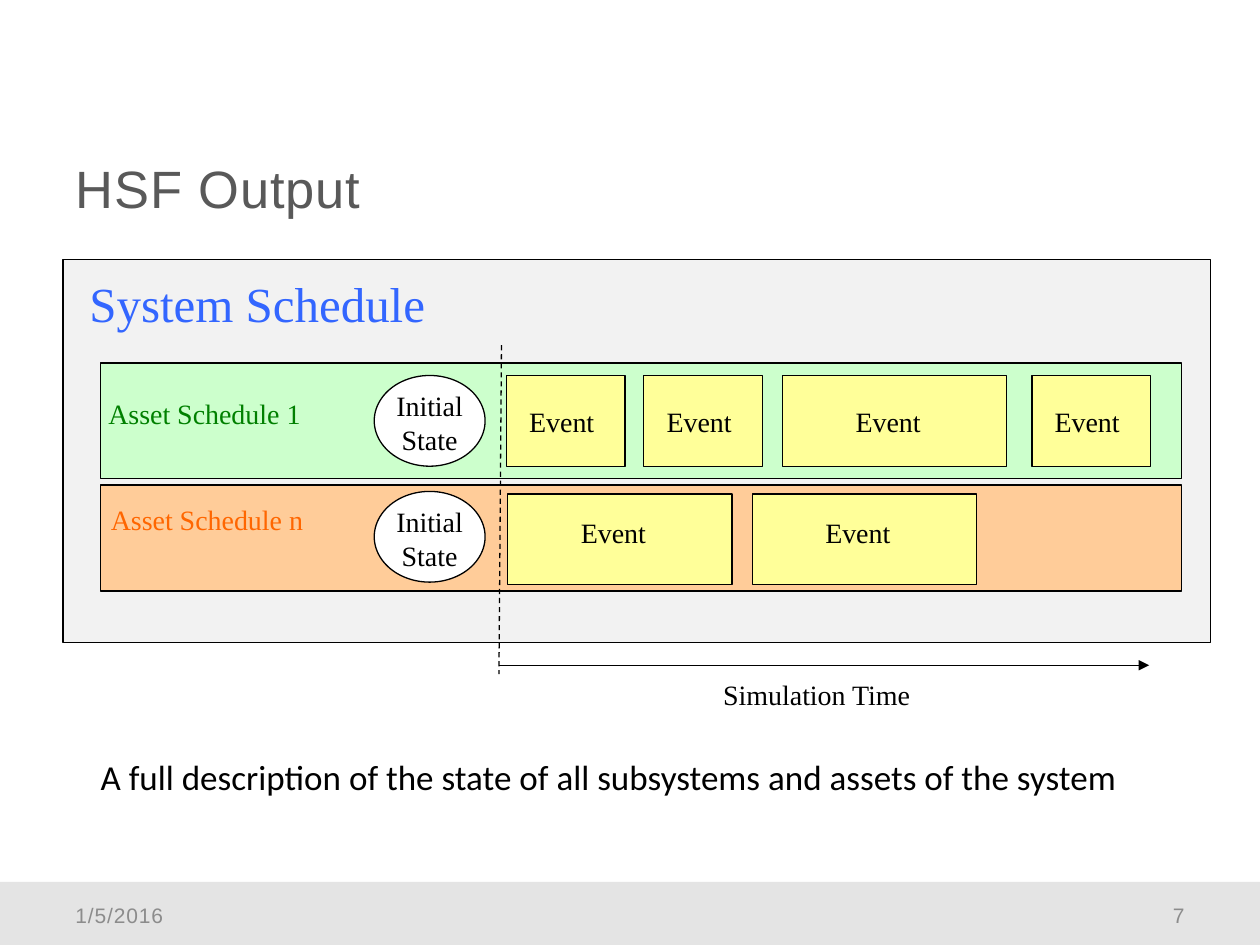
import pptx
import pptx.util
import pptx.dml.color
import pptx.enum.dml
import pptx.enum.shapes
import pptx.enum.text
import pptx.oxml
import pptx.oxml.ns
from pptx.util import Inches

COLORS = {
    "footer": "E4E4E4", "footer_text": "8C8C8C", "title": "595959",
    "panel": "F2F2F2", "green_lane": "CCFFCC", "orange_lane": "FFCC99",
    "event": "FFFF99", "white": "FFFFFF", "black": "000000",
    "green_text": "008000", "orange_text": "FF6600", "blue_text": "3366FF",
}
SERIF = "Times New Roman"
SHAPE = pptx.enum.shapes.MSO_SHAPE
ALIGN = pptx.enum.text.PP_ALIGN
ANCHOR = pptx.enum.text.MSO_ANCHOR
EVENT_H = 0.72


def rgb(name):
    return pptx.dml.color.RGBColor.from_string(COLORS[name])


def write(sp, text, size=16, font=SERIF, color="black", align=ALIGN.LEFT,
          anchor=ANCHOR.TOP, inset=0, wrap=True, spc=None, line_spacing=None):
    """Put one formatted paragraph in a shape; inset None keeps the default."""
    tf = sp.text_frame
    tf.auto_size = pptx.enum.text.MSO_AUTO_SIZE.NONE
    tf.word_wrap = wrap
    tf.vertical_anchor = anchor
    if inset is not None:
        tf.margin_left = tf.margin_right = Inches(inset)
        tf.margin_top = tf.margin_bottom = Inches(inset)
    p = tf.paragraphs[0]
    p.alignment = align
    if line_spacing:
        p.line_spacing = line_spacing
    r = p.add_run()
    r.text = text
    r.font.size = pptx.util.Pt(size)
    r.font.name = font
    r.font.color.rgb = rgb(color)
    if spc:
        r.font._element.set("spc", str(spc))
    return sp


def add_label(s, x, y, w, h, text, **fmt):
    sp = s.shapes.add_textbox(Inches(x), Inches(y), Inches(w), Inches(h))
    return write(sp, text, **fmt)


def add_box(s, x, y, w, h, fill, kind=SHAPE.RECTANGLE, outline=True):
    sp = s.shapes.add_shape(kind, Inches(x), Inches(y), Inches(w), Inches(h))
    sp.shadow.inherit = False
    sp.fill.solid()
    sp.fill.fore_color.rgb = rgb(fill)
    if outline:
        sp.line.color.rgb = rgb("black")
        sp.line.width = pptx.util.Pt(0.75)
    else:
        sp.line.fill.background()
    return sp


def add_line(s, x1, y1, x2, y2, dashed=False, arrow=False):
    cn = s.shapes.add_connector(pptx.enum.shapes.MSO_CONNECTOR.STRAIGHT,
                                Inches(x1), Inches(y1), Inches(x2), Inches(y2))
    cn.line.color.rgb = rgb("black")
    cn.line.width = pptx.util.Pt(0.75)
    if dashed:
        cn.line.dash_style = pptx.enum.dml.MSO_LINE.DASH
    if arrow:
        ln = cn.line._get_or_add_ln()
        ln.append(pptx.oxml.parse_xml(
            '<a:tailEnd %s type="triangle"/>' % pptx.oxml.ns.nsdecls("a")))
    cn._element.spPr.append(pptx.oxml.parse_xml(
        "<a:effectLst %s/>" % pptx.oxml.ns.nsdecls("a")))


def add_title(s, x, y, w, h, text):
    sp = s.shapes.title
    sp.left, sp.top, sp.width, sp.height = map(Inches, (x, y, w, h))
    write(sp, text, size=30, font="Arial", color="title", inset=None,
          anchor=ANCHOR.MIDDLE, spc=50, line_spacing=1.2)


def add_footer(s, x, y, w, h, date, number):
    add_box(s, x, y, w, h, "footer", outline=False)
    margin, text_w = 0.5, 2.33
    for left, text, align in ((x + margin, date, ALIGN.LEFT),
                              (x + w - margin - text_w, number, ALIGN.RIGHT)):
        add_label(s, left, y + 0.06, text_w, 0.4, text, size=12, font="Arial",
                  color="footer_text", align=align, anchor=ANCHOR.MIDDLE,
                  inset=None, spc=50)


def add_lane(s, x, y, w, h, name, fill, color, name_at, state_dy, event_dy,
             label_dy, events):
    """One asset's lane: name, initial state, then events as (offset, width)."""
    add_box(s, x, y, w, h, fill)
    add_label(s, x + name_at[0], y + name_at[1], 1.9, 0.36, name, color=color)
    state = add_box(s, x + 2.17, y + state_dy, 0.88, EVENT_H, "white", SHAPE.OVAL)
    write(state, "Initial State", align=ALIGN.CENTER)
    for dx, event_w in events:
        add_box(s, x + dx, y + event_dy, event_w, EVENT_H, "event")
        label_dx = 0.18 if event_w < 1 else 0.58
        add_label(s, x + dx + label_dx, y + event_dy + label_dy, 0.53, 0.26,
                  "Event", wrap=False)


def add_schedule(s, x, y, w, h):
    # Panel and heading
    add_box(s, x, y, w, h, "panel")
    add_label(s, x + 0.21, y + 0.11, 3.22, 0.59, "System Schedule",
              size=28, color="blue_text")

    # Asset lanes
    short, long = 0.94, 1.78
    add_lane(s, x + 0.3, y + 0.82, 8.58, 0.92, "Asset Schedule 1",
             "green_lane", "green_text", (0.06, 0.27), 0.1, 0.1, 0.23,
             [(3.22, short), (4.31, short), (5.41, long), (7.39, short)])
    add_lane(s, x + 0.3, y + 1.79, 8.58, 0.84, "Asset Schedule n",
             "orange_lane", "orange_text", (0.08, 0.14), 0.05, 0.07, 0.17,
             [(3.23, long), (5.17, long)])

    # Start of simulation and time axis
    start, axis_y = x + 3.46, y + h + 0.18
    add_line(s, start + 0.02, y + 0.68, start, axis_y + 0.07, dashed=True)
    add_line(s, start, axis_y, start + 5.16, axis_y, arrow=True)
    add_label(s, start + 1.78, axis_y + 0.1, 1.9, 0.24, "Simulation Time")


def main():
    prs = pptx.Presentation()
    prs.slide_width, prs.slide_height = Inches(10), Inches(7.5)
    s = prs.slides.add_slide(prs.slide_layouts.get_by_name("Title Only"))
    add_footer(s, 0, 7, 10, 0.5, "1/5/2016", "7")
    add_title(s, 0.5, 0.81, 9, 1.25, "HSF Output")
    add_schedule(s, 0.5, 2.06, 9.11, 3.04)
    add_label(s, 0.7, 5.95, 8.35, 0.44,
              "A full description of the state of all subsystems and assets "
              "of the system", size=20, font="Calibri", inset=None, wrap=False)
    prs.save("out.pptx")


if __name__ == "__main__":
    main()
